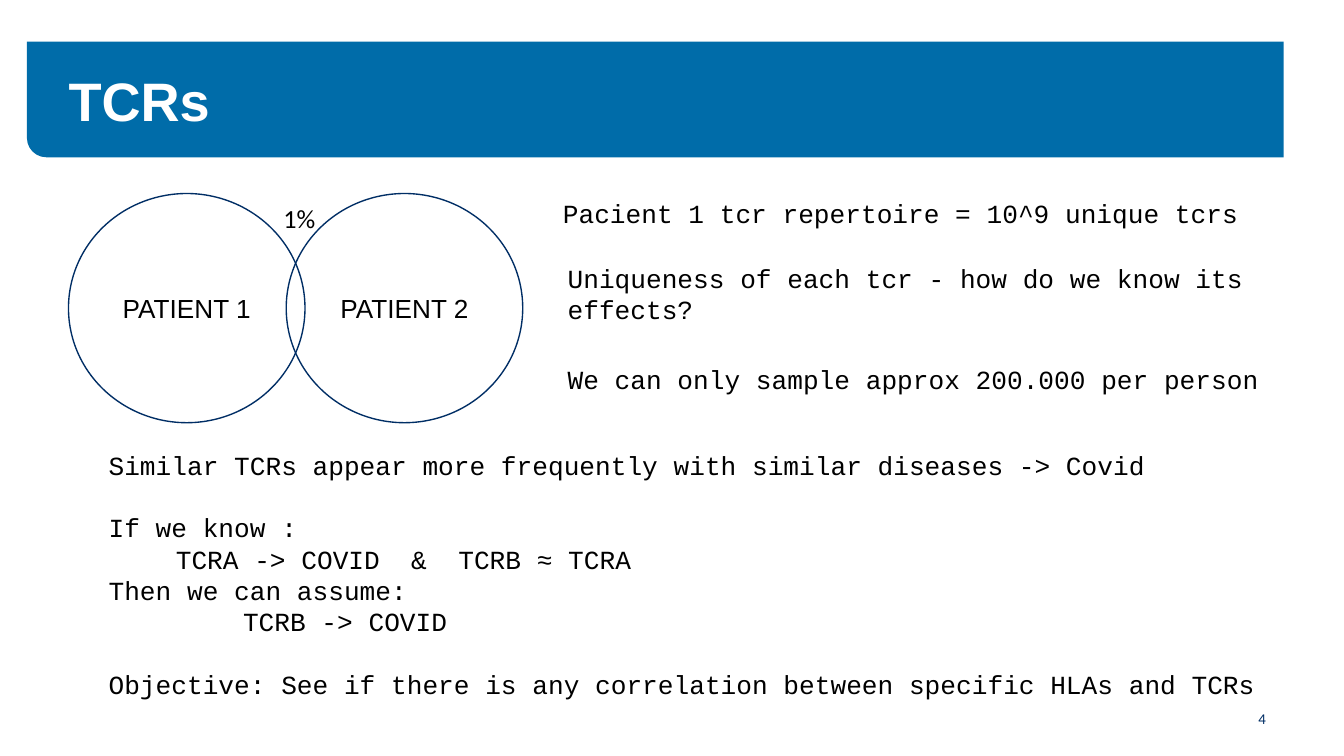
from pptx import Presentation
from pptx import util as u
from pptx.dml.color import RGBColor
from pptx.enum import shapes, text

PX = 4572  # 200 px to the inch
NAVY, BLUE, WHITE, BLACK = "002E65", "006CA9", "FFFFFF", "000000"


def color(hex_value):
    return RGBColor.from_string(hex_value)


def write(box, lines, font, size, ink, inset=(20, 20), anchor="TOP", align="LEFT", bold=False):
    """Fill a shape with (words, space before in points, indent in px) lines."""
    frame = box.text_frame
    frame.word_wrap = True
    frame.vertical_anchor = text.MSO_ANCHOR[anchor]
    frame.margin_left = frame.margin_right = inset[0] * PX
    frame.margin_top = frame.margin_bottom = inset[1] * PX
    frame.text = "\n".join(words for words, _, _ in lines)
    for para, (_, gap, indent) in zip(frame.paragraphs, lines):
        para.alignment = text.PP_ALIGN[align]
        if gap:
            para.space_before = u.Pt(gap)
        if indent:
            para._p.get_or_add_pPr().set("marL", str(indent * PX))
        for span in para.runs:
            span.font.name = font
            span.font.size = u.Pt(size)
            span.font.bold = bold
            span.font.color.rgb = color(ink)


deck = Presentation()
deck.slide_width, deck.slide_height = 2000 * PX, 1125 * PX
page = deck.slides.add_slide(deck.slide_layouts[6])
add_box = page.shapes.add_textbox

# Page number
number = add_box(1464 * PX, 1040 * PX, 434 * PX, 60 * PX)
write(number, [("4", 0, 0)], "Calibri", 8, NAVY, (14, 8), "MIDDLE", "RIGHT")

# Title banner, turned so that the round corner is at the bottom left
banner = page.shapes.add_shape(
    shapes.MSO_SHAPE.ROUND_1_RECTANGLE, 40 * PX, 62 * PX, 1870 * PX, 172 * PX)
banner.rotation = 180
banner.shadow.inherit = False
banner.fill.solid()
banner.fill.fore_color.rgb = color(BLUE)
banner.line.fill.background()

title = add_box(102 * PX, 84 * PX, 1796 * PX, 130 * PX)
write(title, [("TCRs", 0, 0)], "Arial", 29, WHITE, (0, 0), "MIDDLE", bold=True)

# Overlapping patient circles
for index in range(2):
    circle = page.shapes.add_shape(
        shapes.MSO_SHAPE.OVAL, (102 + 324 * index) * PX, 288 * PX, 352 * PX, 341 * PX)
    circle.shadow.inherit = False
    circle.fill.background()
    circle.line.color.rgb = color(NAVY)
    circle.line.width = u.Pt(0.75)
    write(circle, [(f"PATIENT {index + 1}", 0, 0)], "Arial", 14, BLACK,
          anchor="MIDDLE", align="CENTER")

overlap = add_box(402 * PX, 281 * PX, 126 * PX, 94 * PX)
write(overlap, [("1%", 0, 0)], "Calibri", 14, BLACK)

# Facts beside the circles
facts = [
    (818, 274, 1092, 88, "Pacient 1 tcr repertoire = 10^9 unique tcrs"),
    (825, 370, 1098, 142, "Uniqueness of each tcr - how do we know its effects?"),
    (825, 521, 1078, 194, "We can only sample approx 200.000 per person"),
]
for left, top, width, height, words in facts:
    fact = add_box(left * PX, top * PX, width * PX, height * PX)
    write(fact, [(words, 0, 0)], "Courier New", 14, BLACK)

# Reasoning and objective; a gap is about one line high
LINE = 16.75
reasoning = add_box(142 * PX, 648 * PX, 1762 * PX, 416 * PX)
write(reasoning, [
    ("Similar TCRs appear more frequently with similar diseases -> Covid", 0, 0),
    ("If we know :", LINE, 0),
    ("TCRA -> COVID  &  TCRB ≈ TCRA", 0, 100),
    ("Then we can assume:", 0, 0),
    ("TCRB -> COVID", 0, 200),
    ("Objective: See if there is any correlation between specific HLAs and TCRs", LINE, 0),
], "Courier New", 14, BLACK)

deck.save("out.pptx")
